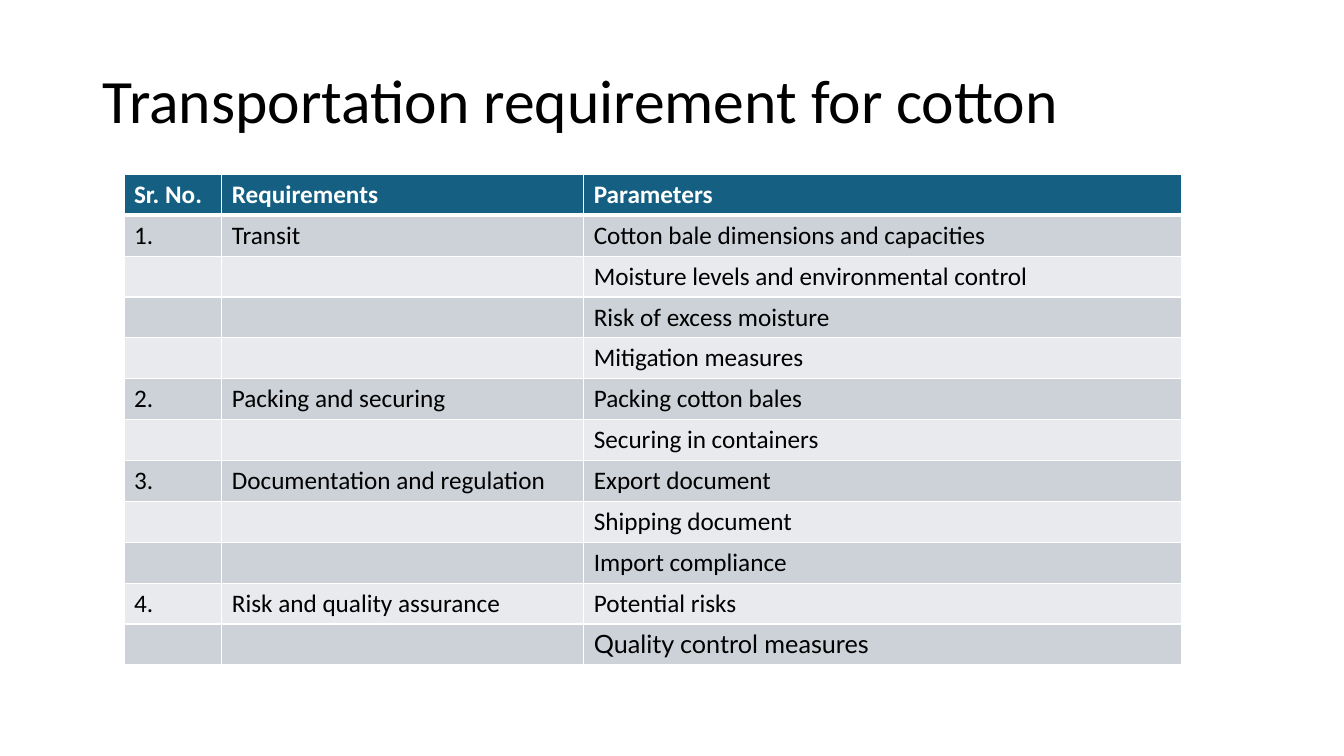
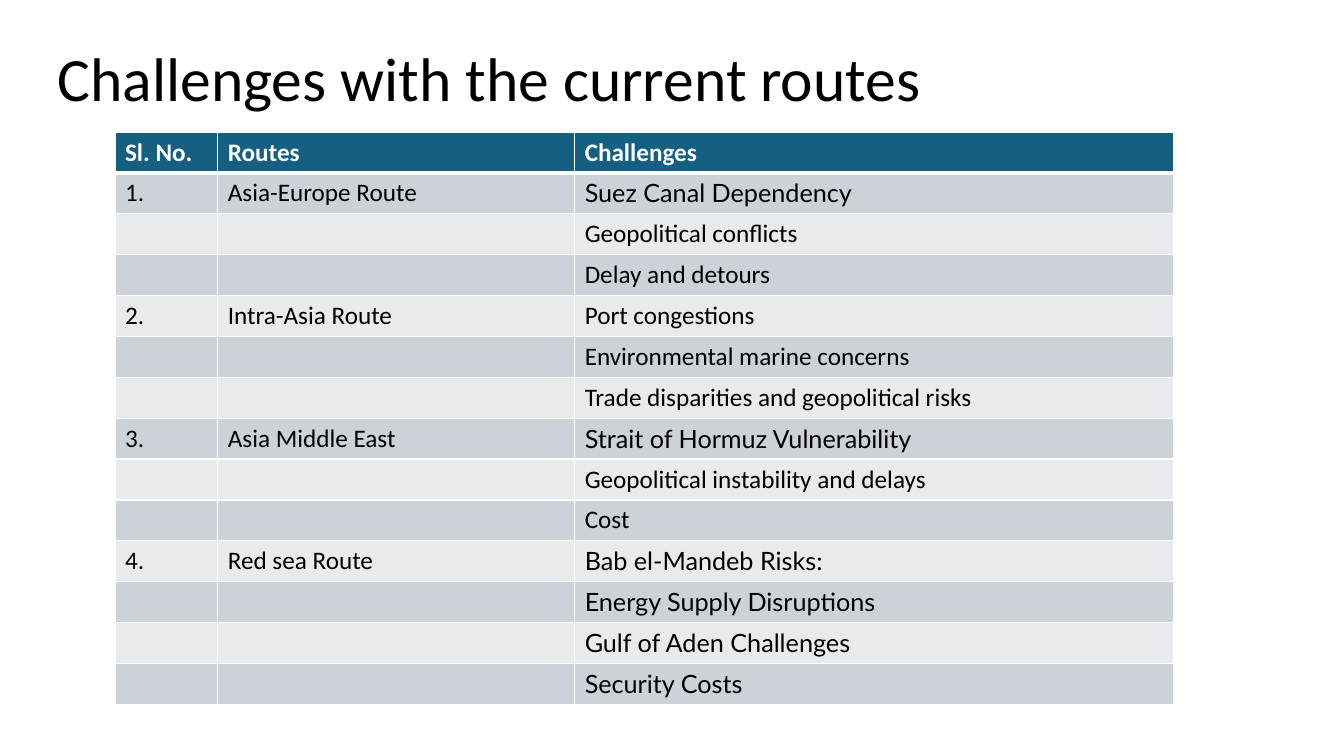
"""Build two slides with tables on cotton transport and shipping routes."""
from dataclasses import dataclass

from lxml.etree import SubElement
from pptx import Presentation
from pptx.dml.color import RGBColor as Color
from pptx.enum.text import MSO_ANCHOR as Anchor, MSO_AUTO_SIZE as AutoSize, PP_ALIGN as Align
from pptx.oxml.ns import qn
from pptx.util import Inches, Pt


@dataclass(frozen=True)
class Theme:
    """Colours, fonts, type sizes and line widths shared by the slides."""
    header: str = "156082"
    bands: tuple = ("CCD2D8", "E8EAED")
    ink: str = "000000"
    paper: str = "FFFFFF"
    font: str = "Calibri"
    accent_font: str = "Lato"
    title_size: int = 44
    table_size: int = 18
    rule: int = 1
    header_rule: int = 3
    row_height: float = 0.4


THEME = Theme()
SLIDE_SIZE = (13.33, 7.5)

SLIDES = [
    {
        "title": "Transportation requirement for cotton",
        "title_box": (0.92, 0.4, 11.5, 1.25),
        "table_origin": (1.23, 1.73),
        "columns": (0.97, 3.59, 5.93),
        "header": ("Sr. No.", "Requirements", "Parameters"),
        "groups": [
            ("Transit", ["Cotton bale dimensions and capacities",
                         "Moisture levels and environmental control",
                         "Risk of excess moisture", "Mitigation measures"]),
            ("Packing and securing", ["Packing cotton bales", "Securing in containers"]),
            ("Documentation and regulation", ["Export document", "Shipping document",
                                              "Import compliance"]),
            ("Risk and quality assurance", ["Potential risks", "Quality control measures"]),
        ],
    },
    {
        "title": "Challenges with the current routes",
        "title_box": (0.47, 0.3, 11.5, 1.01),
        "table_origin": (1.14, 1.31),
        "columns": (1.02, 3.54, 5.94),
        "header": ("Sl. No.", "Routes", "Challenges"),
        "groups": [
            ("Asia-Europe Route", ["Suez Canal Dependency", "Geopolitical conflicts",
                                   "Delay and detours"]),
            ("Intra-Asia Route", ["Port congestions", "Environmental marine concerns",
                                  "Trade disparities and geopolitical risks"]),
            ("Asia Middle East", ["Strait of Hormuz Vulnerability",
                                  "Geopolitical instability and delays", "Cost"]),
            ("Red sea Route", ["Bab el-Mandeb Risks:", "Energy Supply Disruptions",
                               "Gulf of Aden Challenges", "Security Costs"]),
        ],
    },
]

ACCENTED = {
    "Quality control measures", "Suez Canal Dependency", "Strait of Hormuz Vulnerability",
    "Bab el-Mandeb Risks:", "Energy Supply Disruptions", "Gulf of Aden Challenges",
    "Security Costs",
}


def write(frame, text, *, size, color=THEME.ink, font=THEME.font, bold=False, spacing=None):
    """Put one formatted, left-aligned paragraph in a text frame."""
    paragraph = frame.paragraphs[0]
    paragraph.alignment = Align.LEFT
    paragraph.line_spacing = spacing
    paragraph.font.size = Pt(size)
    if text:
        run = paragraph.add_run()
        run.text = text
        run.font.size, run.font.name, run.font.bold = Pt(size), font, bold
        run.font.color.rgb = Color.from_string(color)


def add_borders(cell, top, bottom):
    """Draw the four borders of a cell, with the given top and bottom widths."""
    properties = cell._tc.get_or_add_tcPr()
    widths = {"a:lnL": THEME.rule, "a:lnR": THEME.rule, "a:lnT": top, "a:lnB": bottom}
    for tag, width in widths.items():
        line = SubElement(properties, qn(tag), w=str(Pt(width)))
        fill = SubElement(line, qn("a:solidFill"))
        SubElement(fill, qn("a:srgbClr"), val=THEME.paper)


def add_title(slide, text, box):
    """Place and format the title placeholder."""
    title = slide.shapes.title
    title.left, title.top, title.width, title.height = map(Inches, box)
    frame = title.text_frame
    frame.auto_size, frame.word_wrap = AutoSize.NONE, True
    frame.vertical_anchor = Anchor.MIDDLE
    write(frame, text, size=THEME.title_size, spacing=0.9)


def table_rows(header, groups):
    """Number the groups and give each of their items a row."""
    rows = [header]
    for number, (name, items) in enumerate(groups, start=1):
        for index, item in enumerate(items):
            lead = ("", "") if index else (f"{number}.", name)
            rows.append((*lead, item))
    return rows


def add_table(slide, rows, origin, columns):
    """Add a banded table with a coloured header row."""
    size = (sum(columns), len(rows) * THEME.row_height)
    frame = slide.shapes.add_table(len(rows), len(columns), *map(Inches, origin + size))
    table = frame.table
    for column, width in zip(table.columns, columns):
        column.width = Inches(width)
    for row_index, row in enumerate(rows):
        is_header = row_index == 0
        band = THEME.header if is_header else THEME.bands[(row_index - 1) % 2]
        top = THEME.header_rule if row_index == 1 else THEME.rule
        bottom = THEME.header_rule if is_header else THEME.rule
        for column_index, text in enumerate(row):
            cell = table.cell(row_index, column_index)
            add_borders(cell, top, bottom)
            cell.fill.solid()
            cell.fill.fore_color.rgb = Color.from_string(band)
            write(cell.text_frame, text, size=THEME.table_size, bold=is_header,
                  color=THEME.paper if is_header else THEME.ink,
                  font=THEME.accent_font if text in ACCENTED else THEME.font)


def main():
    """Build and save the presentation."""
    presentation = Presentation()
    presentation.slide_width, presentation.slide_height = map(Inches, SLIDE_SIZE)
    title_only = presentation.slide_layouts.get_by_name("Title Only")
    for content in SLIDES:
        slide = presentation.slides.add_slide(title_only)
        add_title(slide, content["title"], content["title_box"])
        rows = table_rows(content["header"], content["groups"])
        add_table(slide, rows, content["table_origin"], content["columns"])
    presentation.save("out.pptx")


if __name__ == "__main__":
    main()
